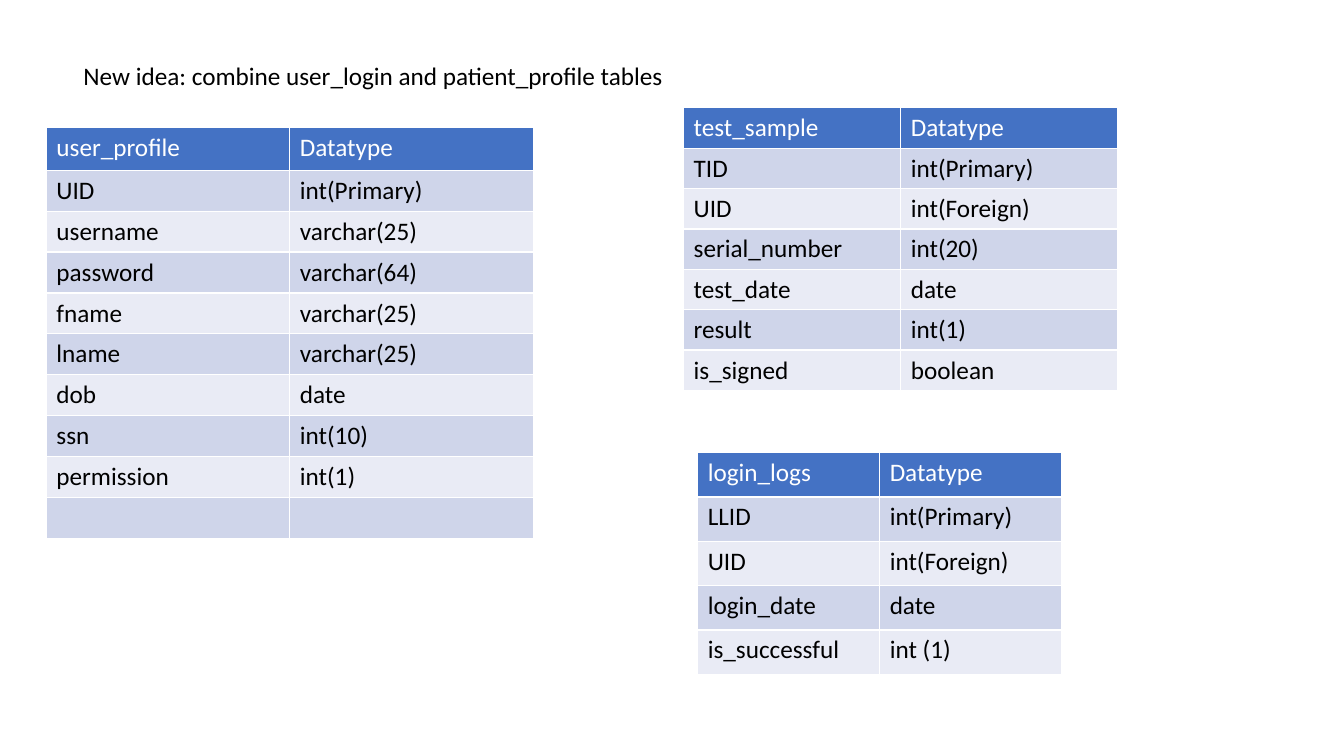
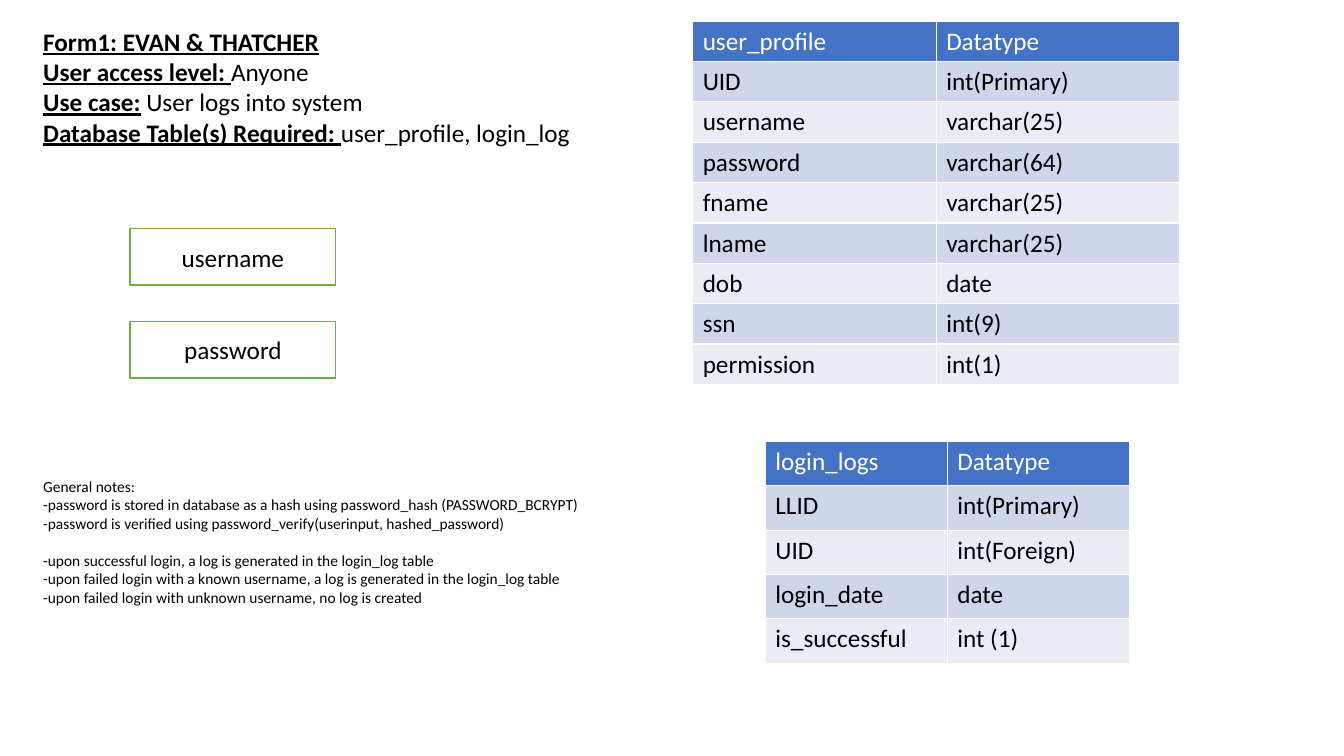
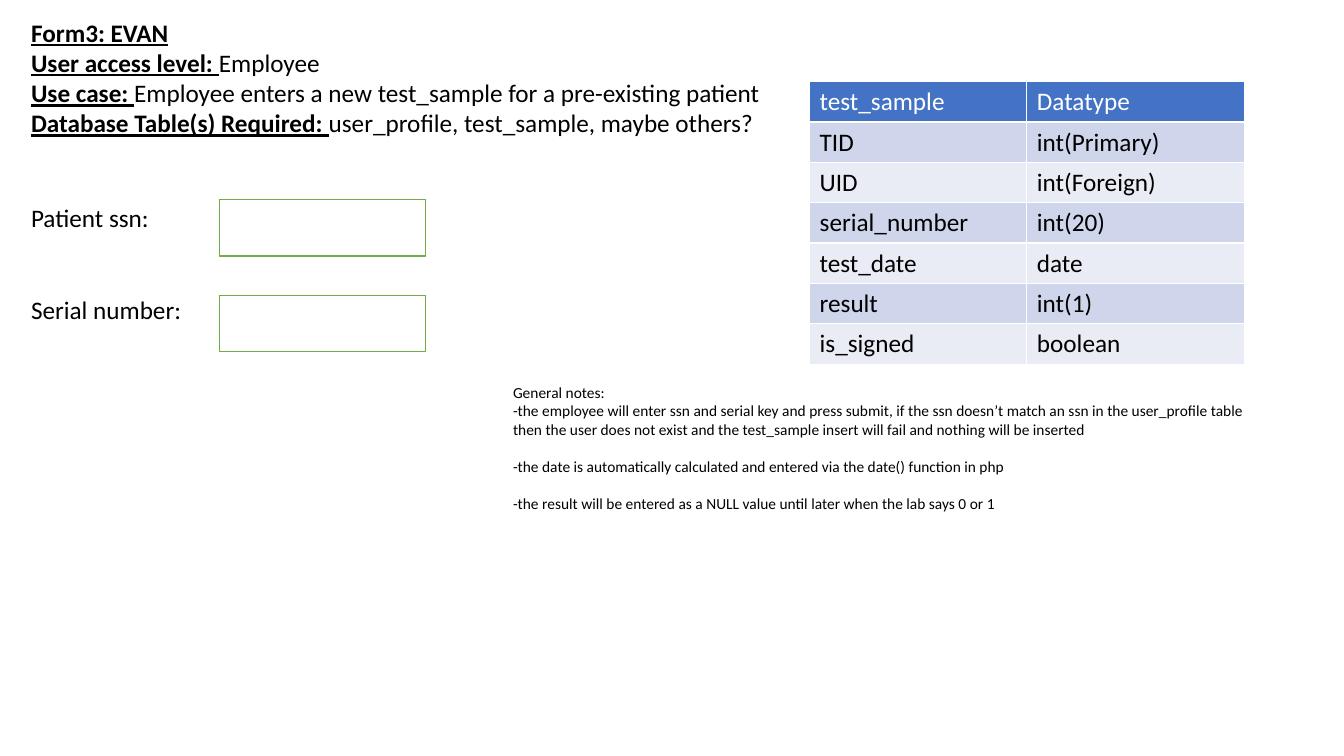
import pptx
import pptx.util
import pptx.dml.color
import pptx.enum.shapes
import pptx.enum.text

Inches = pptx.util.Inches
Pt = pptx.util.Pt

COLORS = {
    "ink": "000000",
    "paper": "FFFFFF",
    "head": "4472C4",
    "odd": "CFD5EA",
    "even": "E9EBF5",
    "edge": "70AD47",
}
BASE = {"name": "Calibri", "size": Pt(18), "bold": False, "underline": False}
LABEL = {**BASE, "bold": True, "underline": True}
SMALL = {**BASE, "size": Pt(11)}

USER = [
    ("user_profile", "Datatype"),
    ("UID", "int(Primary)"),
    ("username", "varchar(25)"),
    ("password", "varchar(64)"),
    ("fname", "varchar(25)"),
    ("lname", "varchar(25)"),
    ("dob", "date"),
]
SAMPLE = [
    ("test_sample", "Datatype"),
    ("TID", "int(Primary)"),
    ("UID", "int(Foreign)"),
    ("serial_number", "int(20)"),
    ("test_date", "date"),
    ("result", "int(1)"),
    ("is_signed", "boolean"),
]
LOGS = [
    ("login_logs", "Datatype"),
    ("LLID", "int(Primary)"),
    ("UID", "int(Foreign)"),
    ("login_date", "date"),
    ("is_successful", "int (1)"),
]


def color(name):
    return pptx.dml.color.RGBColor.from_string(COLORS[name])


def paint(item, name):
    item.fill.solid()
    item.fill.fore_color.rgb = color(name)


def style(font, form, tint="ink"):
    for key, value in form.items():
        setattr(font, key, value)
    font.color.rgb = color(tint)


def write(para, text, form=BASE, tint="ink"):
    run = para.add_run()
    run.text = text
    style(run.font, form, tint)


def user_rows(digits):
    return USER + [("ssn", f"int({digits})"), ("permission", "int(1)")]


def add_grid(slide, rows, left, top, width, height, first=None):
    grid = slide.shapes.add_table(
        len(rows), 2, Inches(left), Inches(top), Inches(width),
        Inches(height * len(rows))).table
    if first:
        grid.rows[0].height = Inches(first)
    for r, row in enumerate(rows):
        band = "head" if r == 0 else "odd" if r % 2 else "even"
        for c, text in enumerate(row):
            cell = grid.cell(r, c)
            paint(cell, band)
            para = cell.text_frame.paragraphs[0]
            if text:
                write(para, text, tint="ink" if r else "paper")
            else:
                style(para.font, BASE)


def add_samples(slide, left, top):
    add_grid(slide, SAMPLE, left, top, 4.31, 0.4)


def add_logs(slide, left, top):
    add_grid(slide, LOGS, left, top, 3.61, 0.44)


def add_text(slide, lines, left, top, width, height, form=BASE, gaps=(), gap=0):
    box = slide.shapes.add_textbox(
        Inches(left), Inches(top), Inches(width), Inches(height))
    frame = box.text_frame
    frame.word_wrap = True
    for i, line in enumerate(lines):
        para = frame.add_paragraph() if i else frame.paragraphs[0]
        if i in gaps:
            para.space_before = Pt(gap)
        if isinstance(line, str):
            write(para, line, form)
        else:
            label, text = line
            write(para, label, LABEL)
            if text:
                write(para, text)


def add_notes(slide, lines, left, top, width, gaps):
    add_text(slide, ["General notes:"] + lines, left, top, width, 1.4,
             SMALL, gaps, 13.4)


def add_field(slide, left, top, text=""):
    box = slide.shapes.add_shape(
        pptx.enum.shapes.MSO_SHAPE.RECTANGLE,
        Inches(left), Inches(top), Inches(2.04), Inches(0.56))
    box.shadow.inherit = False
    paint(box, "paper")
    box.line.color.rgb = color("edge")
    box.line.width = Pt(1)
    if text:
        frame = box.text_frame
        frame.vertical_anchor = pptx.enum.text.MSO_ANCHOR.MIDDLE
        para = frame.paragraphs[0]
        para.alignment = pptx.enum.text.PP_ALIGN.CENTER
        write(para, text)


def draw_tables(slide):
    add_grid(slide, user_rows(10) + [("", "")], 0.46, 1.26, 4.83, 0.4, 0.43)
    add_text(slide, ["New idea: combine user_login and patient_profile tables"],
             0.73, 0.55, 10.36, 0.71)
    add_logs(slide, 6.92, 4.49)
    add_samples(slide, 6.78, 1.07)


def draw_login(slide):
    add_text(slide, [
        ("Form1: EVAN & THATCHER", ""),
        ("User access level: ", "Anyone"),
        ("Use case:", " User logs into system"),
        ("Database Table(s) Required: ", "user_profile, login_log"),
    ], 0.33, 0.21, 9.78, 1.31)
    add_grid(slide, user_rows(9), 6.87, 0.21, 4.83, 0.4)
    add_logs(slide, 7.59, 4.38)
    for i, name in enumerate(["username", "password"]):
        add_field(slide, 1.29, 2.27 + 0.92 * i, name)
    add_notes(slide, [
        "-password is stored in database as a hash using password_hash (PASSWORD_BCRYPT)",
        "-password is verified using password_verify(userinput, hashed_password)",
        "-upon successful login, a log is generated in the login_log table",
        "-upon failed login with a known username, a log is generated in the login_log table",
        "-upon failed login with unknown username, no log is created",
    ], 0.33, 4.68, 6.02, [3])


def draw_sample(slide):
    add_text(slide, [
        ("Form3: EVAN", ""),
        ("User access level: ", "Employee"),
        ("Use case: ", "Employee enters a new test_sample for a pre-existing patient"),
        ("Database Table(s) Required: ", "user_profile, test_sample, maybe others? "),
    ], 0.21, 0.12, 9.14, 1.31)
    add_samples(slide, 8.03, 0.81)
    add_text(slide, ["Patient ssn:", "Serial number:"],
             0.21, 1.96, 7.54, 1.92, gaps=[1], gap=44)
    for i in range(2):
        add_field(slide, 2.18, 1.98 + 0.95 * i)
    add_notes(slide, [
        "-the employee will enter ssn and serial key and press submit, if the ssn "
        "doesn\u2019t match an ssn in the user_profile table then the user does not "
        "exist and the test_sample insert will fail and nothing will be inserted",
        "-the date is automatically calculated and entered via the date() function in php",
        "-the result will be entered as a NULL value until later when the lab says 0 or 1",
    ], 4.99, 3.75, 7.54, [2, 3])


def main():
    deck = pptx.Presentation()
    deck.slide_width = Inches(13.33)
    deck.slide_height = Inches(7.5)
    for draw in (draw_tables, draw_login, draw_sample):
        draw(deck.slides.add_slide(deck.slide_layouts[6]))
    deck.save("out.pptx")


main()
